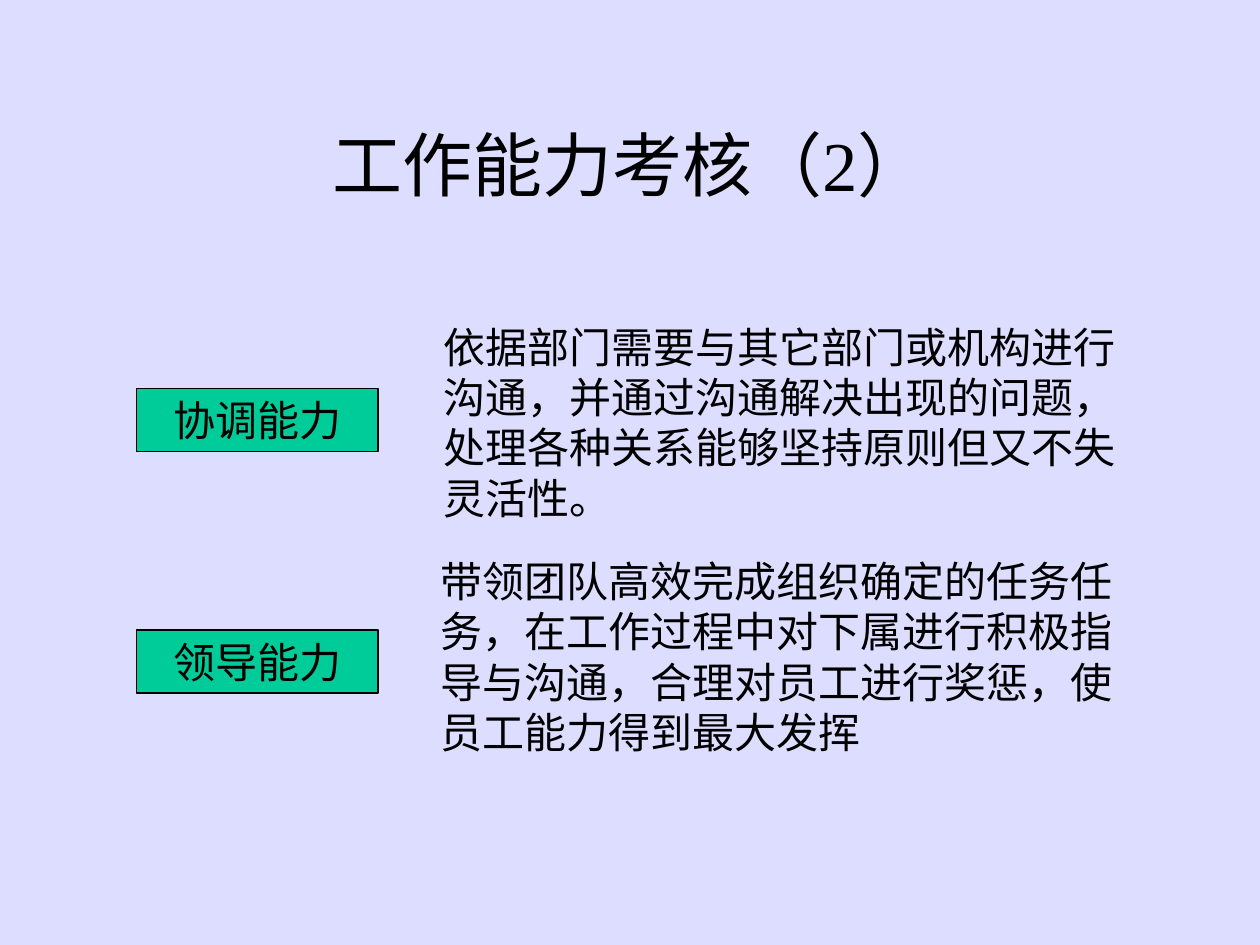
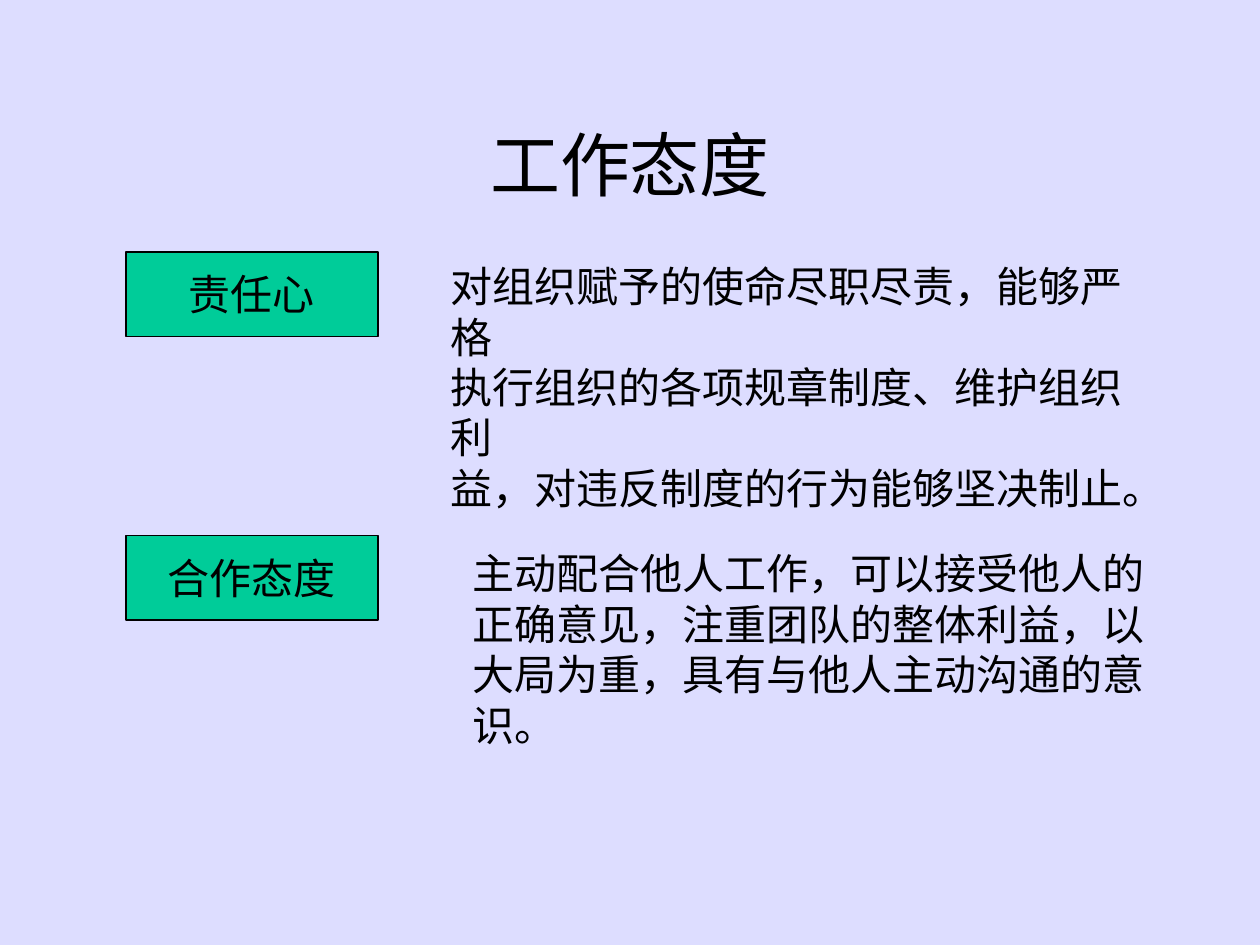
from pptx import Presentation
from pptx import util as u
from pptx.dml.color import RGBColor
from pptx.enum import lang, shapes, text

FONT = "Times New Roman"
BACKGROUND, LABEL_FILL, INK = "DDDDFF", "00CC99", "000000"
TITLE_BOX = (1.9, 1.7, 21.6, 3.18)

SLIDES = [
    ("工作能力考核（2）", [
        ("协调能力", (2.75, 7.83, 4.87, 1.27), (8.69, 6.35, 14.4, 4.32), True,
         ["依据部门需要与其它部门或机构进行沟通，并通过沟通解决出现的问题，处理各种关系能够坚持原则但又不失灵活性。"]),
        ("领导能力", (2.75, 12.7, 4.87, 1.27), (8.64, 11.07, 14.22, 4.32), True,
         ["带领团队高效完成组织确定的任务任务，在工作过程中对下属进行积极指导与沟通，合理对员工进行奖惩，使员工能力得到最大发挥"]),
    ]),
    ("工作态度", [
        ("责任心", (2.54, 5.08, 5.08, 1.7), (8.84, 5.13, 14.88, 3.3), False,
         ["对组织赋予的使命尽职尽责，能够严格",
          "执行组织的各项规章制度、维护组织利",
          "益，对违反制度的行为能够坚决制止。"]),
        ("合作态度", (2.54, 10.8, 5.08, 1.7), (9.27, 10.92, 14.43, 4.32), True,
         ["主动配合他人工作，可以接受他人的正确意见，注重团队的整体利益，以",
          "大局为重，具有与他人主动沟通的意识。"]),
    ]),
]


def paint(fill, color):
    """Give a fill one solid colour from a hex string."""
    fill.solid()
    fill.fore_color.rgb = RGBColor.from_string(color)


def cm(box):
    """Turn a box in centimetres into lengths."""
    return [u.Cm(v) for v in box]


def write(sp, lines, size=24, align=text.PP_ALIGN.LEFT,
          anchor=text.MSO_ANCHOR.TOP, wrap=True, grow=False):
    """Write one paragraph per line into a shape and format it."""
    tf = sp.text_frame
    tf.word_wrap = wrap
    tf.vertical_anchor = anchor
    fit = text.MSO_AUTO_SIZE
    tf.auto_size = fit.SHAPE_TO_FIT_TEXT if grow else fit.NONE
    for i, line in enumerate(lines):
        p = tf.add_paragraph() if i else tf.paragraphs[0]
        p.alignment = align
        r = p.add_run()
        r.text = line
        r.font.name, r.font.size = FONT, u.Pt(size)
        r.font.language_id = lang.MSO_LANGUAGE_ID.SIMPLIFIED_CHINESE
        paint(r.font.fill, INK)


def add_title(slide, title):
    """Place and fill the title placeholder."""
    sp = slide.shapes.title
    sp.left, sp.top, sp.width, sp.height = cm(TITLE_BOX)
    write(sp, [title], size=40, align=text.PP_ALIGN.CENTER,
          anchor=text.MSO_ANCHOR.MIDDLE)


def add_label(slide, box, label):
    """Draw the green box that names a criterion."""
    sp = slide.shapes.add_shape(shapes.MSO_SHAPE.RECTANGLE, *cm(box))
    sp.shadow.inherit = False
    paint(sp.fill, LABEL_FILL)
    paint(sp.line.fill, INK)
    sp.line.width = u.Pt(0.75)
    write(sp, [label], align=text.PP_ALIGN.CENTER,
          anchor=text.MSO_ANCHOR.MIDDLE, wrap=False)


def add_description(slide, box, lines, wrap):
    """Add the text that explains a criterion."""
    sp = slide.shapes.add_textbox(*cm(box))
    write(sp, lines, wrap=wrap, grow=True)


def add_criteria_slide(prs, title, criteria):
    """Build a slide with a title and its labelled criteria."""
    slide = prs.slides.add_slide(prs.slide_layouts.get_by_name("Title Only"))
    add_title(slide, title)
    for label, label_box, text_box, wrap, lines in criteria:
        add_label(slide, label_box, label)
        add_description(slide, text_box, lines, wrap)


def main():
    """Build and save the presentation."""
    prs = Presentation()
    prs.slide_width, prs.slide_height = u.Cm(25.4), u.Cm(19.05)
    paint(prs.slide_master.background.fill, BACKGROUND)
    for title, criteria in SLIDES:
        add_criteria_slide(prs, title, criteria)
    prs.save("out.pptx")


if __name__ == "__main__":
    main()
